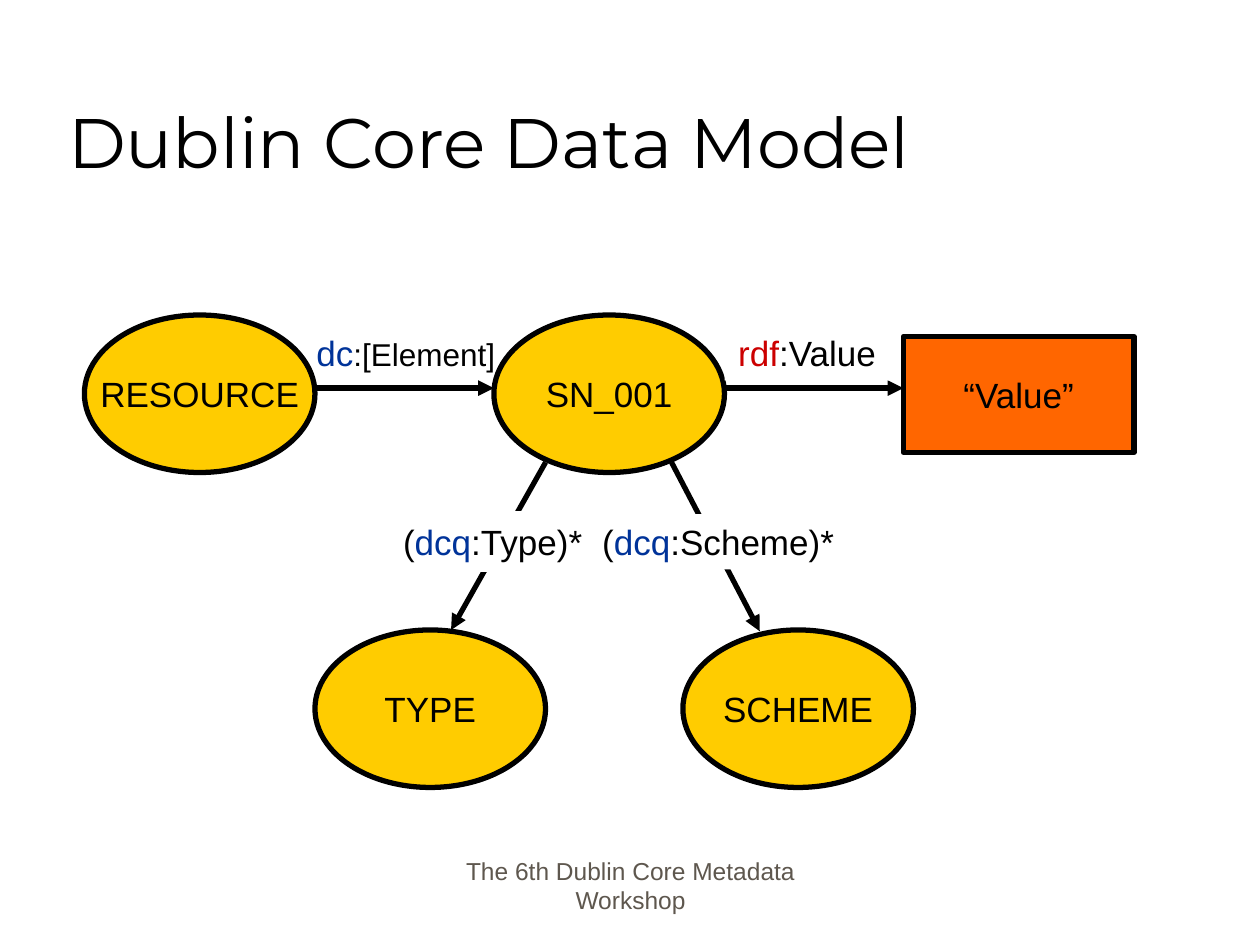
from dataclasses import dataclass

from lxml import etree
from pptx import Presentation
from pptx.dml.color import RGBColor
from pptx.enum import shapes, text
from pptx.oxml import ns
from pptx.util import Inches, Pt


@dataclass(frozen=True)
class Theme:
    heading_font: str = "Montserrat"
    body_font: str = "Arial"
    black: str = "000000"
    white: str = "FFFFFF"
    yellow: str = "FFCC00"
    orange: str = "FF6600"
    blue: str = "003399"
    red: str = "CC0000"
    gray: str = "5E574E"
    title_size: int = 40
    body_size: int = 20
    small_size: int = 18
    footer_size: int = 14
    line_width: int = 3


THEME = Theme()
ELLIPSE = shapes.MSO_SHAPE.OVAL
RECTANGLE = shapes.MSO_SHAPE.RECTANGLE


class DiagramSlide:
    def __init__(self, slide, theme):
        self.slide = slide
        self.theme = theme

    def _style_font(self, font, size, color, name=None):
        font.name = name or self.theme.body_font
        font.size = Pt(size)
        font.color.rgb = RGBColor.from_string(color)

    def _style_line(self, line, color):
        line.color.rgb = RGBColor.from_string(color)
        line.width = Pt(self.theme.line_width)

    def _box(self, kind, bounds, fill, line):
        """Add a shape; fill or line may be None."""
        shape = self.slide.shapes.add_shape(kind, *map(Inches, bounds))
        shape.shadow.inherit = False
        if fill:
            shape.fill.solid()
            shape.fill.fore_color.rgb = RGBColor.from_string(fill)
        else:
            shape.fill.background()
        if line:
            self._style_line(shape.line, line)
        else:
            shape.line.fill.background()
        frame = shape.text_frame
        frame.word_wrap = False
        frame.vertical_anchor = text.MSO_ANCHOR.MIDDLE
        paragraph = frame.paragraphs[0]
        paragraph.alignment = text.PP_ALIGN.CENTER
        return paragraph

    def title(self, words, bounds):
        title = self.slide.shapes.title
        title.left, title.top, title.width, title.height = map(Inches, bounds)
        frame = title.text_frame
        frame.text = words
        frame.word_wrap = True
        frame.auto_size = text.MSO_AUTO_SIZE.NONE
        frame.vertical_anchor = text.MSO_ANCHOR.BOTTOM
        paragraph = frame.paragraphs[0]
        paragraph.alignment = text.PP_ALIGN.LEFT
        self._style_font(paragraph.font, self.theme.title_size,
                         self.theme.black, self.theme.heading_font)

    def node(self, words, bounds, kind=ELLIPSE, fill=THEME.yellow):
        paragraph = self._box(kind, bounds, fill, self.theme.black)
        paragraph.text = words
        self._style_font(paragraph.font, self.theme.body_size, self.theme.black)

    def label(self, parts, bounds, fill=THEME.white, line=None):
        """Add an arrow label from (words, color, size) parts."""
        paragraph = self._box(RECTANGLE, bounds, fill, line)
        for words, color, size in parts:
            run = paragraph.add_run()
            run.text = words
            self._style_font(run.font, size, color)

    def arrow(self, start, end):
        connector = self.slide.shapes.add_connector(
            shapes.MSO_CONNECTOR.STRAIGHT, *map(Inches, (*start, *end)))
        self._style_line(connector.line, self.theme.black)
        line = connector.line._get_or_add_ln()
        etree.SubElement(line, ns.qn("a:tailEnd"), type="triangle")
        etree.SubElement(connector._element.spPr, ns.qn("a:effectLst"))

    def footer(self, words, bounds):
        frame = self.slide.shapes.add_textbox(*map(Inches, bounds)).text_frame
        frame.word_wrap = True
        frame.vertical_anchor = text.MSO_ANCHOR.BOTTOM
        paragraph = frame.paragraphs[0]
        paragraph.text = words
        paragraph.alignment = text.PP_ALIGN.CENTER
        self._style_font(paragraph.font, self.theme.footer_size, self.theme.gray)


def main():
    presentation = Presentation()
    presentation.slide_width, presentation.slide_height = Inches(10), Inches(7.5)
    slide = presentation.slides.add_slide(presentation.slide_layouts[5])
    diagram = DiagramSlide(slide, THEME)
    diagram.title("Dublin Core Data Model", (0.44, 0.25, 8.5, 1.25))

    node_width, node_height = 1.83, 1.25
    arrow_y, upper_y, lower_y = 3.08, 2.5, 5
    resource_x, subject_x, value_x = 0.67, 3.92, 7.17

    for start, end in (
        ((resource_x + node_width, arrow_y), (subject_x, arrow_y)),
        ((subject_x + node_width, arrow_y), (value_x, arrow_y)),
        ((4.33, 3.67), (3.58, lower_y)),
        ((5.33, 3.67), (6.03, 5.01)),
    ):
        diagram.arrow(start, end)

    for words, left, top in (
        ("RESOURCE", resource_x, upper_y),
        ("SN_001", subject_x, upper_y),
        ("TYPE", 2.5, lower_y),
        ("SCHEME", 5.42, lower_y),
    ):
        diagram.node(words, (left, top, node_width, node_height))

    black, blue, size = THEME.black, THEME.blue, THEME.body_size
    for words, left, width, line in (
        (":Type)*", 3.09, 1.64, THEME.white),
        (":Scheme)*", 4.68, 2.04, None),
    ):
        parts = (("(", black, size), ("dcq", blue, size), (words, black, size))
        diagram.label(parts, (left, 4.08, width, 0.44), line=line)
    diagram.label((("rdf", THEME.red, size), (":Value", black, size)),
                  (5.75, 2.58, 1.31, 0.44))
    diagram.node("“Value”", (value_x, 2.67, node_width, 0.92),
                 RECTANGLE, THEME.orange)
    diagram.label((("dc", blue, size), (":[Element]", black, THEME.small_size)),
                  (2.41, 2.58, 1.62, 0.44), fill=None)
    diagram.footer("The 6th Dublin Core Metadata Workshop",
                   (3.42, 6.81, 3.17, 0.5))
    presentation.save("out.pptx")


if __name__ == "__main__":
    main()
